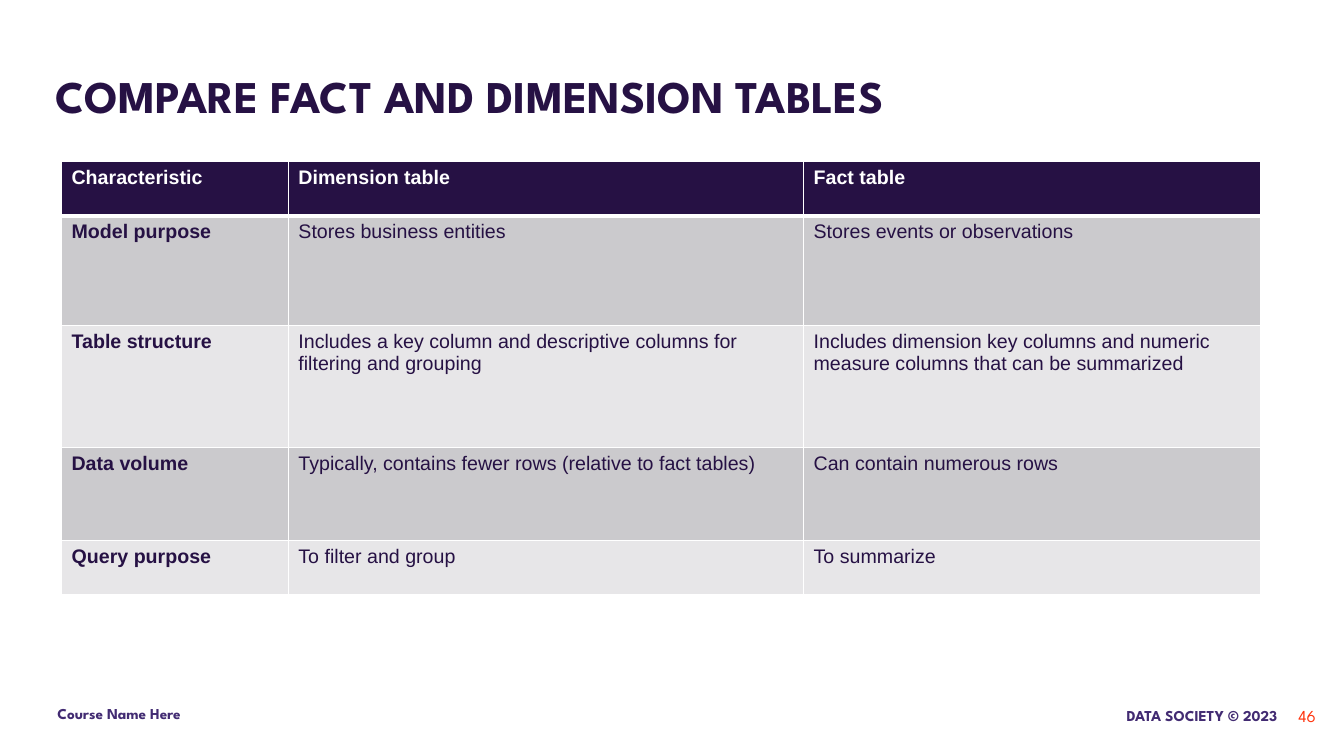
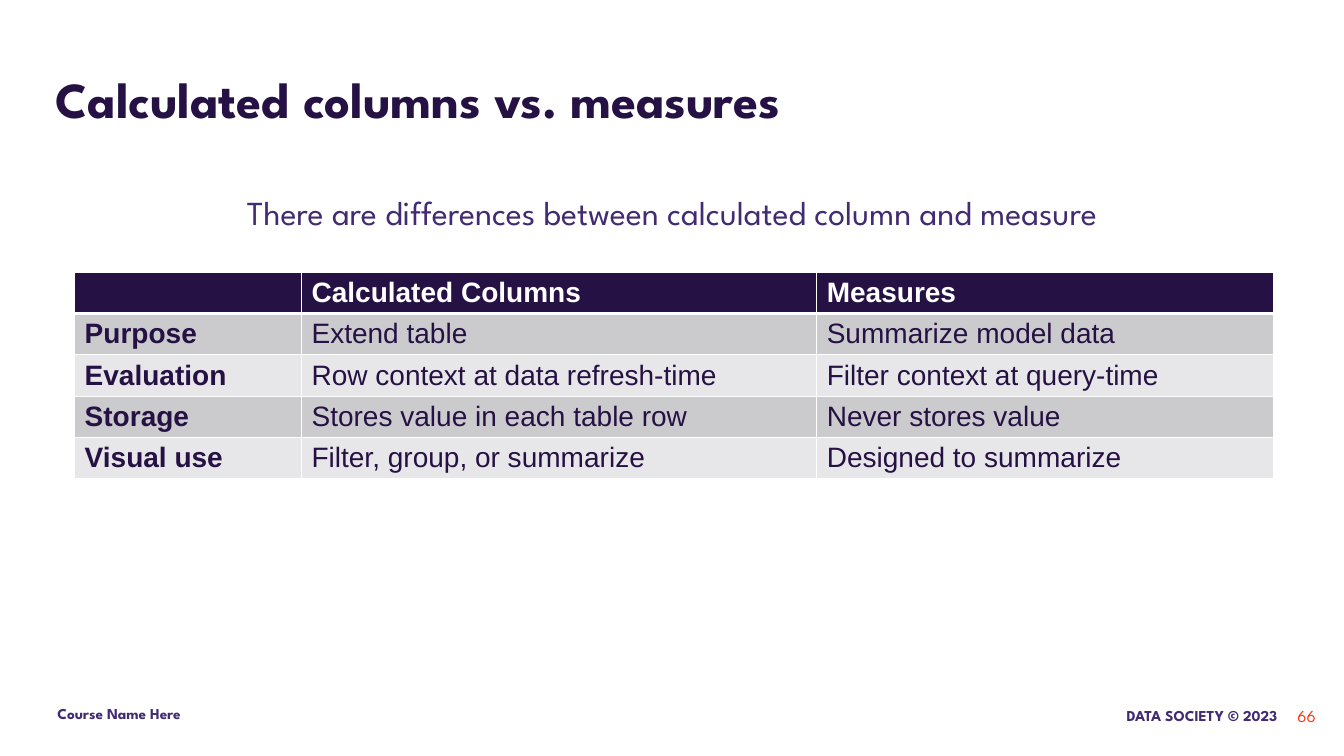
from lxml import etree
from pptx import Presentation
from pptx import util as u
from pptx.dml import color
from pptx.enum import text
from pptx.oxml import ns

PX = 9144
BRAND_FONT = "League Spartan"
TABLE_FONT = "Arial"
COLORS = {
    "ink": "261144",
    "violet": "422B72",
    "orange": "FF350F",
    "white": "FFFFFF",
    "band_dark": "CBCACD",
    "band_light": "E7E6E8",
}
TITLE_BOX = (45, 58, 1242, 84)
COURSE_BOX = (45, 687, 274, 42)
COPYRIGHT_BOX = (1057, 689, 222, 42)
NUMBER_BOX = (1235, 689, 80, 42)
COLUMN_WIDTHS = (225, 511, 453)


def px(length):
    return u.Emu(length * PX)


def rgb(name):
    return color.RGBColor.from_string(COLORS[name])


def style_runs(para, font, size, fill, bold=False):
    for span in para.runs:
        span.font.name = font
        span.font.size = u.Pt(size)
        span.font.bold = bold
        span.font.color.rgb = rgb(fill)


def fill_text(shape, box, words, size, fill, bold=False, inset=10,
              align=text.PP_ALIGN.LEFT, anchor=text.MSO_ANCHOR.TOP):
    shape.left, shape.top, shape.width, shape.height = map(px, box)
    frame = shape.text_frame
    frame.text = words
    frame.word_wrap = True
    frame.auto_size = text.MSO_AUTO_SIZE.NONE
    frame.vertical_anchor = anchor
    frame.margin_left = frame.margin_right = px(inset)
    frame.margin_top = frame.margin_bottom = px(inset)
    para = frame.paragraphs[0]
    para.alignment = align
    style_runs(para, BRAND_FONT, size, fill, bold)
    return para


def add_label(page, box, words, size, fill, **options):
    shape = page.shapes.add_textbox(*map(px, box))
    return fill_text(shape, box, words, size, fill, **options)


def add_footer(page, number):
    right = text.PP_ALIGN.RIGHT
    add_label(page, COPYRIGHT_BOX, "DATA SOCIETY © 2023", 10.8, "violet",
              bold=True, inset=12, align=right)
    add_label(page, COURSE_BOX, "Course Name Here", 10.8, "violet",
              bold=True, inset=12)
    add_label(page, NUMBER_BOX, str(number), 12, "orange",
              align=right, anchor=text.MSO_ANCHOR.MIDDLE)


def add_page(deck, title, title_size, number):
    page = deck.slides.add_slide(deck.slide_layouts[5])
    fill_text(page.shapes.title, TITLE_BOX, title, title_size, "ink", bold=True)
    add_footer(page, number)
    return page


def set_borders(cell, top, bottom):
    properties = cell._tc.get_or_add_tcPr()
    for side, points in (("L", 1), ("R", 1), ("T", top), ("B", bottom)):
        line = etree.SubElement(properties, ns.qn(f"a:ln{side}"),
                                w=str(u.Pt(points)))
        solid = etree.SubElement(line, ns.qn("a:solidFill"))
        etree.SubElement(solid, ns.qn("a:srgbClr"), val=COLORS["white"])


def style_cell(cell, words, row, column, size):
    header = row == 0
    set_borders(cell, top=3 if row == 1 else 1, bottom=3 if header else 1)
    band = "band_dark" if row % 2 else "band_light"
    cell.fill.solid()
    cell.fill.fore_color.rgb = rgb("ink" if header else band)
    cell.text = words
    style_runs(cell.text_frame.paragraphs[0], TABLE_FONT, size,
               "white" if header else "ink", bold=header or column == 0)


def add_comparison(page, left, top, heights, size, rows):
    frame = page.shapes.add_table(
        len(rows), len(COLUMN_WIDTHS), px(left), px(top),
        px(sum(COLUMN_WIDTHS)), px(sum(heights)))
    table = frame.table
    for column, width in zip(table.columns, COLUMN_WIDTHS):
        column.width = px(width)
    for r, (height, row) in enumerate(zip(heights, rows)):
        table.rows[r].height = px(height)
        for c, words in enumerate(row):
            style_cell(table.cell(r, c), words, r, c, size)


def build_fact_page(deck):
    page = add_page(deck, "COMPARE FACT AND DIMENSION TABLES", 32.4, 46)
    add_comparison(page, 61, 160, (54, 109, 121, 92, 54), 14, [
        ("Characteristic", "Dimension table", "Fact table"),
        ("Model purpose", "Stores business entities",
         "Stores events or observations"),
        ("Table structure",
         "Includes a key column and descriptive columns for filtering and grouping",
         "Includes dimension key columns and numeric measure columns that can be summarized"),
        ("Data volume",
         "Typically, contains fewer rows (relative to fact tables)",
         "Can contain numerous rows"),
        ("Query purpose", "To filter and group", "To summarize"),
    ])


def build_measures_page(deck):
    page = add_page(deck, "Calculated columns vs. measures", 36, 66)
    intro = add_label(
        page, (52, 174, 1229, 75),
        "There are differences between calculated column and measure",
        24, "violet", align=text.PP_ALIGN.CENTER)
    intro.line_spacing = 1.15
    add_comparison(page, 74, 270, (41,) * 5, 20, [
        ("", "Calculated Columns", "Measures"),
        ("Purpose", "Extend table", "Summarize model data"),
        ("Evaluation", "Row context at data refresh-time",
         "Filter context at query-time"),
        ("Storage", "Stores value in each table row", "Never stores value"),
        ("Visual use", "Filter, group, or summarize", "Designed to summarize"),
    ])


def main():
    deck = Presentation()
    deck.slide_width, deck.slide_height = px(1333), px(750)
    build_fact_page(deck)
    build_measures_page(deck)
    deck.save("out.pptx")


if __name__ == "__main__":
    main()
